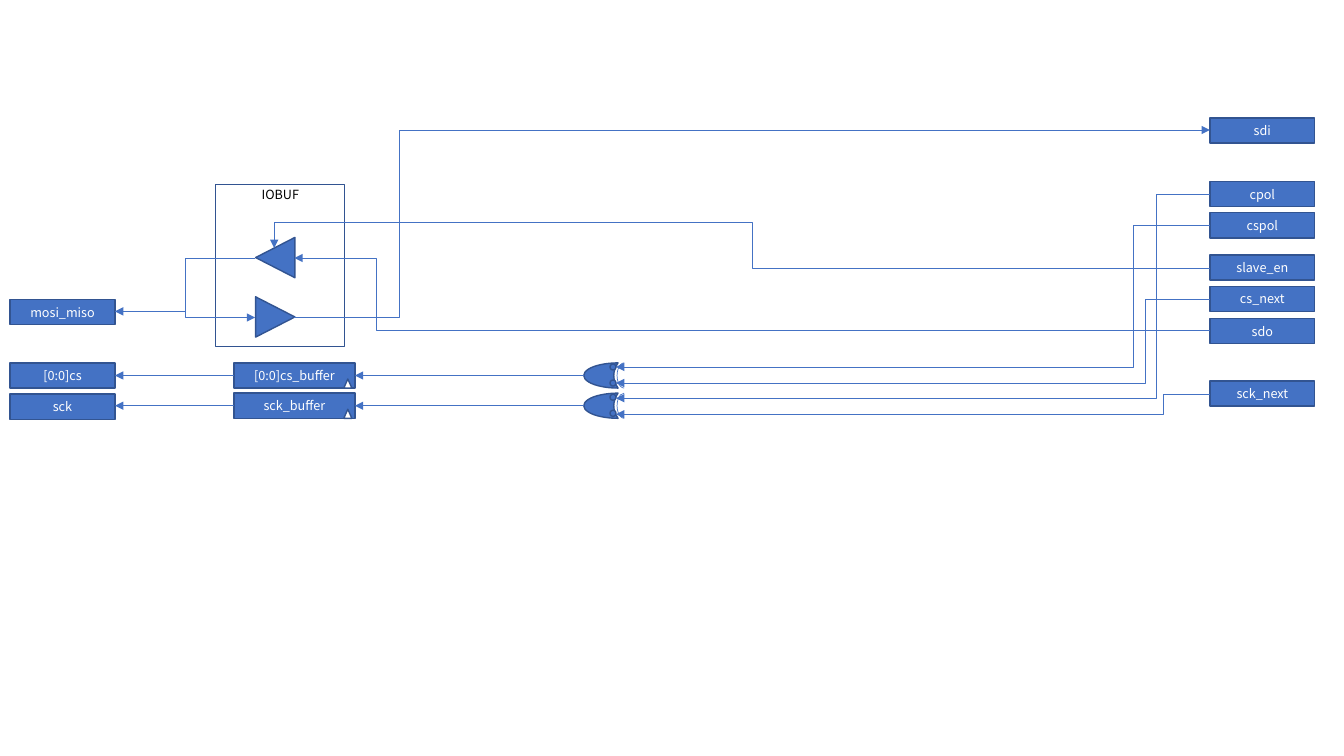
from lxml import etree
from pptx import Presentation
from pptx.dml.color import RGBColor
from pptx.enum import shapes, text
from pptx.oxml.ns import qn
from pptx.util import Inches, Pt

FONT = "Noto Sans CJK KR"
COLORS = {"blue": "4472C4", "edge": "325491", "white": "FFFFFF", "black": "000000"}
KIND = shapes.MSO_SHAPE
HIGH = 0.25
PIN = 1.04
LEFT, RIGHT = 0.1, 12
PORTS = [
    (RIGHT, 1.17, "sdi"), (RIGHT, 1.8, "cpol"), (RIGHT, 2.11, "cspol"),
    (RIGHT, 2.53, "slave_en"), (RIGHT, 2.84, "cs_next"), (RIGHT, 3.16, "sdo"),
    (RIGHT, 3.78, "sck_next"), (LEFT, 2.97, "mosi_miso"),
    (LEFT, 3.6, "[0:0]cs"), (LEFT, 3.91, "sck"),
]
BENDS = [
    (2.53, 2.56, 1.14, 3.09, 1.84),
    (1.14, 3.09, 2.53, 3.15, 1.84),
    (2.92, 3.15, 12, 1.29, 3.96),
    (12, 3.28, 2.92, 2.56, 3.74),
    (12, 2.24, 6.11, 3.64, 11.24),
    (12, 2.97, 6.11, 3.8, 11.36),
    (12, 1.93, 6.11, 3.95, 11.47),
    (12, 3.91, 6.11, 4.11, 11.54),
]


def color(name):
    return RGBColor.from_string(COLORS[name])


def draw(slide, kind, x, y, w, h, fill="blue", edge="edge", size=1, turn=0):
    shape = slide.shapes.add_shape(kind, Inches(x), Inches(y), Inches(w), Inches(h))
    shape.shadow.inherit = False
    shape.rotation = turn
    if fill:
        shape.fill.solid()
        shape.fill.fore_color.rgb = color(fill)
    else:
        shape.fill.background()
    shape.line.color.rgb = color(edge)
    shape.line.width = Pt(size)
    return shape


def label(shape, words, ink="white", anchor=text.MSO_ANCHOR.MIDDLE):
    frame = shape.text_frame
    frame.text = words
    frame.word_wrap = True
    frame.vertical_anchor = anchor
    frame.margin_left = frame.margin_right = 0
    frame.margin_top = frame.margin_bottom = Inches(0.02)
    line = frame.paragraphs[0]
    line.alignment = text.PP_ALIGN.CENTER
    font = line.runs[0].font
    font.name = FONT
    font.size = Pt(9)
    font.color.rgb = color(ink)


def port(slide, x, y, words, w=PIN):
    label(draw(slide, KIND.RECTANGLE, x, y, w, HIGH), words)


def wire(slide, x1, y1, x2, y2, bend=None, arrow=True):
    kind = shapes.MSO_CONNECTOR.STRAIGHT if bend is None else shapes.MSO_CONNECTOR.ELBOW
    link = slide.shapes.add_connector(
        kind, Inches(x1), Inches(y1), Inches(x2), Inches(y2))
    link.line.color.rgb = color("blue")
    link.line.width = Pt(0.5)
    props = link._element.spPr
    if bend is not None:
        ratio = round((bend - x1) / (x2 - x1) * 100000)
        guides = props.find(qn("a:prstGeom")).get_or_add_avLst()
        etree.SubElement(guides, qn("a:gd"), name="adj1", fmla=f"val {ratio}")
    if arrow:
        etree.SubElement(props.find(qn("a:ln")), qn("a:tailEnd"), type="triangle")
    etree.SubElement(props, qn("a:effectLst"))


def buffer(slide):
    for y, turn in ((2.36, 270), (2.95, 90)):
        draw(slide, KIND.ISOSCELES_TRIANGLE, 2.53, y, 0.4, 0.39, turn=turn)
    frame = draw(slide, KIND.RECTANGLE, 2.14, 1.83, 1.28, 1.61, fill=None)
    label(frame, "IOBUF", "black", text.MSO_ANCHOR.TOP)


def gate(slide, y):
    body = draw(slide, KIND.MOON, 5.79, y, 0.34, HIGH)
    body.adjustments[0] = 0.875
    for drop in (0.17, 0.01):
        draw(slide, KIND.OVAL, 6.05, y + drop, 0.06, 0.06, turn=180)
    curve = draw(slide, KIND.RIGHT_BRACKET, 6.12, y, 0.07, HIGH, None, "blue", 0.5, 180)
    curve.adjustments[0] = 2.33


def latch(slide, y, words):
    port(slide, 2.32, y, words, 1.2)
    draw(slide, KIND.ISOSCELES_TRIANGLE, 3.41, y + 0.16, 0.08, 0.09, "white")


def main():
    deck = Presentation()
    deck.slide_width = Inches(13.33)
    deck.slide_height = Inches(7.5)
    slide = deck.slides.add_slide(deck.slide_layouts[6])
    for x, y, words in PORTS:
        port(slide, x, y, words)
    buffer(slide)
    for y in (3.6, 3.9):
        gate(slide, y)
    for bend in BENDS:
        wire(slide, *bend)
    wire(slide, 12, 2.66, 2.72, 2.21, 7.46, arrow=False)
    wire(slide, 2.72, 2.21, 2.72, 2.46)
    for y, words in ((3.6, "[0:0]cs_buffer"), (3.9, "sck_buffer")):
        latch(slide, y, words)
        level = y + HIGH / 2
        wire(slide, 5.79, level, 3.52, level)
        wire(slide, 2.32, level, LEFT + PIN, level)
    deck.save("out.pptx")


if __name__ == "__main__":
    main()
